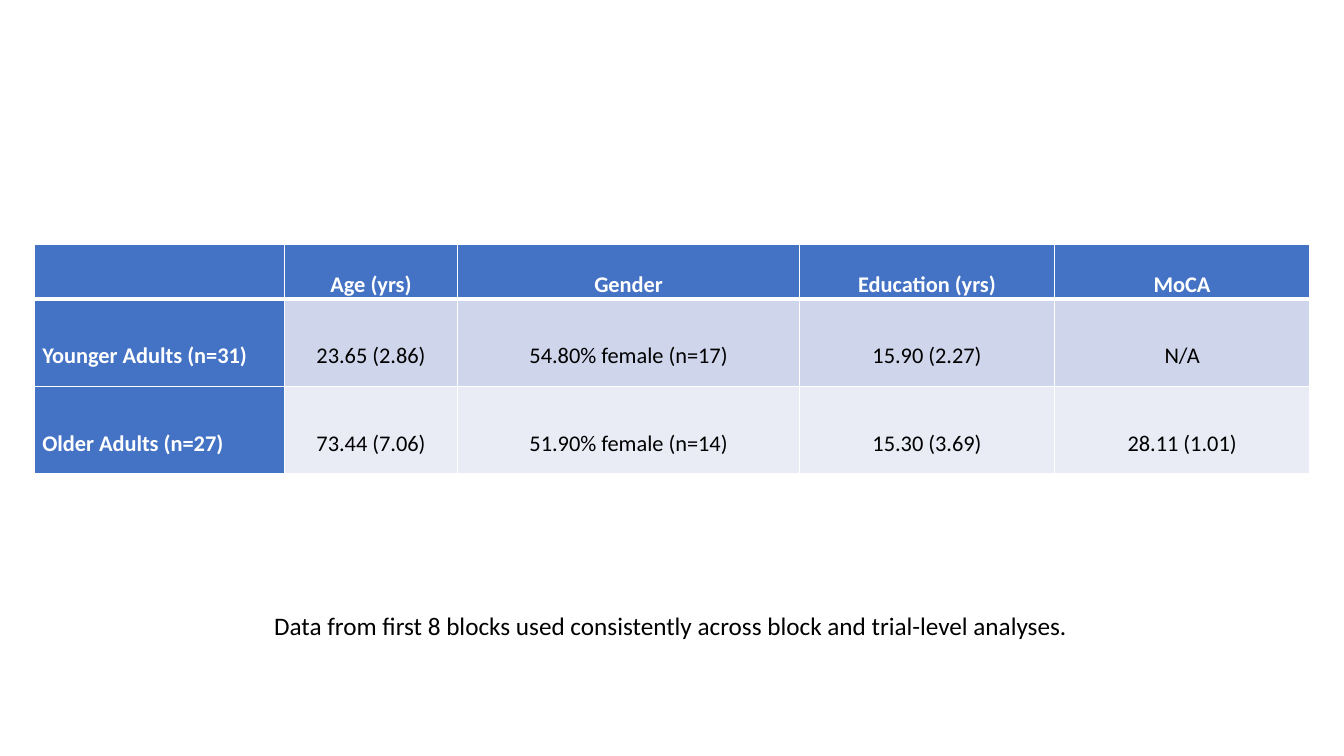
from lxml import etree
from pptx import Presentation
from pptx.dml.color import RGBColor
from pptx.enum import text
from pptx.oxml import ns
from pptx.util import Inches, Pt

BLUE = RGBColor(0x44, 0x72, 0xC4)
BAND_DARK = RGBColor(0xCF, 0xD5, 0xEA)
BAND_LIGHT = RGBColor(0xE9, 0xEB, 0xF5)
WHITE = RGBColor(0xFF, 0xFF, 0xFF)
BLACK = RGBColor(0, 0, 0)
FONT = "Calibri"

COLUMN_WIDTHS = [2.48, 1.72, 3.39, 2.53, 2.53]
ROW_HEIGHTS = [0.35, 0.87, 0.87]
PARTICIPANTS = [
    ["", "Age (yrs)", "Gender", "Education (yrs)", "MoCA"],
    ["Younger Adults (n=31)", "23.65 (2.86)", "54.80% female (n=17)", "15.90 (2.27)", "N/A"],
    ["Older Adults (n=27)", "73.44 (7.06)", "51.90% female (n=14)", "15.30 (3.69)", "28.11 (1.01)"],
]


def set_font(font, size, color, bold=False):
    font.name = FONT
    font.size = Pt(size)
    font.bold = bold
    font.color.rgb = color


def set_borders(cell, widths):
    """Draw white borders; widths are in points: left, right, top, bottom."""
    properties = cell._tc.get_or_add_tcPr()
    for index, (side, width) in enumerate(zip("LRTB", widths)):
        line = etree.Element(ns.qn(f"a:ln{side}"), w=str(Pt(width)))
        fill = etree.SubElement(line, ns.qn("a:solidFill"))
        etree.SubElement(fill, ns.qn("a:srgbClr"), val=str(WHITE))
        properties.insert(index, line)


def format_cell(cell, row, column):
    is_heading = row == 0 or column == 0
    band = BAND_DARK if row % 2 else BAND_LIGHT
    cell.fill.solid()
    cell.fill.fore_color.rgb = BLUE if is_heading else band
    cell.vertical_anchor = text.MSO_ANCHOR.MIDDLE
    cell.margin_left = cell.margin_right = Inches(0.08)
    cell.margin_top = cell.margin_bottom = 0
    # The rule below the header row is heavier
    set_borders(cell, [1, 1, 3 if row == 1 else 1, 3 if row == 0 else 1])

    paragraph = cell.text_frame.paragraphs[0]
    paragraph.alignment = text.PP_ALIGN.CENTER if column else text.PP_ALIGN.LEFT
    paragraph.line_spacing = 2.0
    paragraph.space_after = Pt(8)
    color = WHITE if is_heading else BLACK
    if paragraph.runs:
        set_font(paragraph.runs[0].font, 16, color, is_heading)
    else:
        set_font(paragraph.font, 16, color, is_heading)


def add_participant_table(page):
    frame = page.shapes.add_table(
        len(PARTICIPANTS), len(COLUMN_WIDTHS), Inches(0.34), Inches(2.42),
        Inches(sum(COLUMN_WIDTHS)), Inches(sum(ROW_HEIGHTS)))
    table = frame.table
    table.first_col = True
    for column, width in zip(table.columns, COLUMN_WIDTHS):
        column.width = Inches(width)
    for row, height in zip(table.rows, ROW_HEIGHTS):
        row.height = Inches(height)
    for row, values in enumerate(PARTICIPANTS):
        for column, value in enumerate(values):
            cell = table.cell(row, column)
            cell.text_frame.text = value
            format_cell(cell, row, column)


def add_note(page, wording):
    box = page.shapes.add_textbox(Inches(2.62), Inches(6.01), Inches(8.09), Inches(0.4))
    frame = box.text_frame
    frame.word_wrap = False
    frame.auto_size = text.MSO_AUTO_SIZE.SHAPE_TO_FIT_TEXT
    frame.text = wording
    set_font(frame.paragraphs[0].runs[0].font, 18, BLACK)


def main():
    deck = Presentation()
    deck.slide_width = Inches(13.33)
    deck.slide_height = Inches(7.5)
    # Blank layout: the slide has no title
    page = deck.slides.add_slide(deck.slide_layouts[6])
    add_participant_table(page)
    add_note(page, "Data from first 8 blocks used consistently across block and trial-level analyses.")
    deck.save("out.pptx")


if __name__ == "__main__":
    main()
